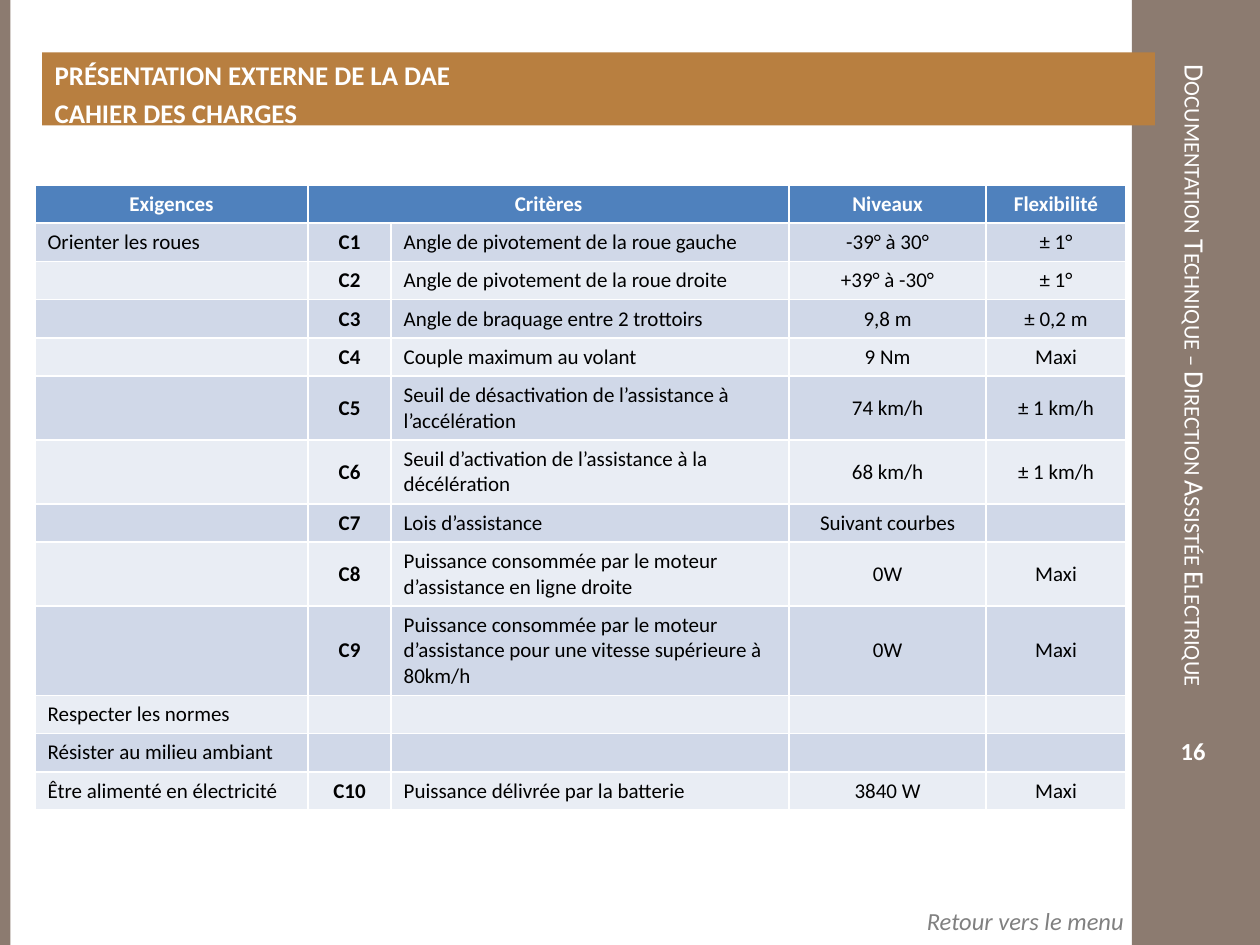
"""Build the specifications slide for the electric power steering documentation."""
from pptx import Presentation
from pptx.dml.color import RGBColor
from pptx.enum.shapes import MSO_SHAPE
from pptx.enum.text import MSO_ANCHOR as ANCHOR, MSO_AUTO_SIZE, PP_ALIGN as ALIGN
from pptx.util import Pt

WHITE = RGBColor(0xFF, 0xFF, 0xFF)
BLACK = RGBColor(0x00, 0x00, 0x00)
TAUPE = RGBColor(0x8C, 0x7B, 0x70)
OCHRE = RGBColor(0xB8, 0x7F, 0x40)
GREY = RGBColor(0x80, 0x80, 0x80)
HEADER_BLUE = RGBColor(0x4F, 0x81, 0xBD)
BANDS = [RGBColor(0xE9, 0xED, 0xF4), RGBColor(0xD0, 0xD8, 0xE8)]

ROWS = [
    ("Exigences", "Critères", "", "Niveaux", "Flexibilité"),
    ("Orienter les roues", "C1", "Angle de pivotement de la roue gauche", "-39° à 30°", "± 1°"),
    ("", "C2", "Angle de pivotement de la roue droite", "+39° à -30°", "± 1°"),
    ("", "C3", "Angle de braquage entre 2 trottoirs", "9,8 m", "± 0,2 m"),
    ("", "C4", "Couple maximum au volant", "9 Nm", "Maxi"),
    ("", "C5", "Seuil de désactivation de l’assistance à l’accélération", "74 km/h", "± 1 km/h"),
    ("", "C6", "Seuil d’activation de l’assistance à la décélération", "68 km/h", "± 1 km/h"),
    ("", "C7", "Lois d’assistance", "Suivant courbes", ""),
    ("", "C8", "Puissance consommée par le moteur d’assistance en ligne droite", "0W", "Maxi"),
    ("", "C9", "Puissance consommée par le moteur d’assistance pour une vitesse "
     "supérieure à 80km/h", "0W", "Maxi"),
    ("Respecter les normes", "", "", "", ""),
    ("Résister au milieu ambiant", "", "", "", ""),
    ("Être alimenté en électricité", "C10", "Puissance délivrée par la batterie", "3840 W", "Maxi"),
]
LINE_COUNTS = [1, 1, 1, 1, 1, 2, 2, 1, 2, 3, 1, 1, 1]
COLUMN_WIDTHS = [156, 47.5, 227.5, 112.5, 80]
CENTRED_COLUMNS = {1, 3, 4}


def style(paragraph, size, color, align=ALIGN.LEFT, bold=False, italic=False):
    paragraph.alignment = align
    font = paragraph.font
    font.name, font.size, font.bold, font.italic = "Calibri", Pt(size), bold, italic
    font.color.rgb = color


def add_label(text, box, anchor, *look):
    label = slide.shapes.add_textbox(*map(Pt, box))
    frame = label.text_frame
    frame.word_wrap = True
    frame.vertical_anchor = anchor
    frame.text = text
    style(frame.paragraphs[0], *look)
    return frame


prs = Presentation()
prs.slide_width, prs.slide_height = Pt(720), Pt(540)
slide = prs.slides.add_slide(prs.slide_layouts[5])

for left, width in [(646.8, 73.2), (0, 6)]:
    band = slide.shapes.add_shape(MSO_SHAPE.RECTANGLE, Pt(left), 0, Pt(width), Pt(540))
    band.shadow.inherit = False
    band.fill.solid()
    band.fill.fore_color.rgb = TAUPE
    band.line.fill.background()

document_name = add_label("Documentation Technique – Direction Assistée Electrique",
                          (646.8, 30, 73.2, 462), ANCHOR.MIDDLE, 16, WHITE)
document_name._txBody.bodyPr.set("vert", "vert")
document_name.paragraphs[0].runs[0].font._element.set("cap", "small")

add_label("16", (643.7, 417.8, 76.3, 22.3), ANCHOR.MIDDLE, 14, WHITE, ALIGN.CENTER, True)

title = slide.shapes.title
slide.shapes.element.append(title.element)
title.left, title.top, title.width, title.height = map(Pt, (24, 30, 636, 41.6))
title.fill.solid()
title.fill.fore_color.rgb = OCHRE
heading = title.text_frame
heading.text = "PRÉSENTATION EXTERNE DE LA DAE\nCAHIER DES CHARGES"
heading.auto_size = MSO_AUTO_SIZE.NONE
heading.vertical_anchor = ANCHOR.TOP
for paragraph in heading.paragraphs:
    style(paragraph, 15.4, WHITE, bold=True)
    paragraph.space_before = Pt(3.1)

row_heights = [7.2 + 14.64 * count for count in LINE_COUNTS]
criteria = slide.shapes.add_table(len(ROWS), len(COLUMN_WIDTHS), Pt(20), Pt(105.7),
                                  Pt(sum(COLUMN_WIDTHS)), Pt(sum(row_heights))).table
for column, width in zip(criteria.columns, COLUMN_WIDTHS):
    column.width = Pt(width)
for r, (texts, height) in enumerate(zip(ROWS, row_heights)):
    criteria.rows[r].height = Pt(height)
    is_header = r == 0
    for c, text in enumerate(texts):
        cell = criteria.cell(r, c)
        cell.text = text
        cell.vertical_anchor = ANCHOR.MIDDLE
        cell.fill.solid()
        cell.fill.fore_color.rgb = HEADER_BLUE if is_header else BANDS[r % 2]
        style(cell.text_frame.paragraphs[0], 12, WHITE if is_header else BLACK,
              ALIGN.CENTER if is_header or c in CENTRED_COLUMNS else ALIGN.LEFT,
              is_header or c == 1)
criteria.cell(0, 1).merge(criteria.cell(0, 2))

add_label("Retour vers le menu", (8.6, 514, 640.8, 24.5), ANCHOR.TOP,
          14, GREY, ALIGN.RIGHT, False, True)

prs.save("out.pptx")
